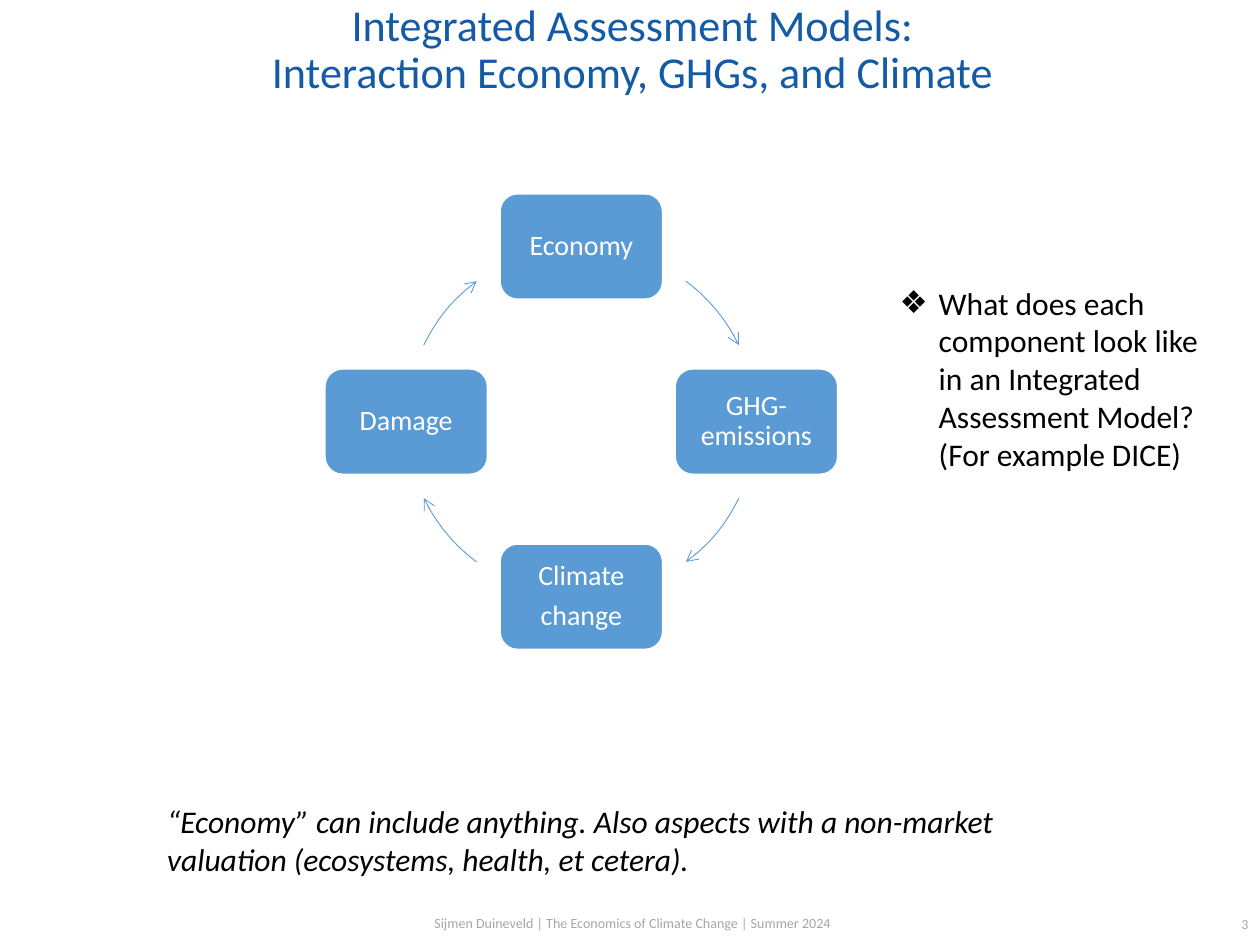
from dataclasses import dataclass
from math import cos, radians, sin

from lxml.etree import SubElement
from pptx import Presentation
from pptx.dml.color import RGBColor
from pptx.enum.shapes import MSO_SHAPE
from pptx.enum.text import MSO_ANCHOR, MSO_AUTO_SIZE, PP_ALIGN
from pptx.oxml.ns import qn
from pptx.util import Cm, Pt


@dataclass(frozen=True)
class Theme:
    font: str = "Calibri"
    title: RGBColor = RGBColor(0x13, 0x5B, 0xA6)
    box: RGBColor = RGBColor(0x5B, 0x9B, 0xD5)
    white: RGBColor = RGBColor(0xFF, 0xFF, 0xFF)
    text: RGBColor = RGBColor(0, 0, 0)
    footer: RGBColor = RGBColor(0xA6, 0xA6, 0xA6)
    title_size: float = 25.2
    body_size: float = 18
    box_size: float = 16
    footer_size: float = 8


THEME = Theme()
CENTRE_X, CENTRE_Y, RADIUS = 11.72, 8.5, 3.53
BOX_W, BOX_H = 3.28, 2.13
STAGES = [["Economy"], ["GHG-emissions"], ["Climate", "change"], ["Damage"]]
ARC_MIDDLES = [320.4, 39.6, 140.4, 219.6]
ARC_HALF_SWEEP = 13.7


def set_attrs(obj, values):
    for name, value in values.items():
        setattr(obj, name, value)


def place(shape, left, top, width, height):
    set_attrs(shape, dict(left=Cm(left), top=Cm(top), width=Cm(width), height=Cm(height)))


def write(tf, lines, size, color, align=PP_ALIGN.LEFT, italic=False, inset=None,
          anchor=MSO_ANCHOR.TOP, **spacing):
    set_attrs(tf, dict(word_wrap=True, auto_size=MSO_AUTO_SIZE.NONE, vertical_anchor=anchor))
    if inset is not None:
        sides = ("margin_left", "margin_top", "margin_right", "margin_bottom")
        set_attrs(tf, dict.fromkeys(sides, Cm(inset)))
    tf.text = "\n".join(lines)
    for p in tf.paragraphs:
        set_attrs(p, dict(alignment=align, space_before=Pt(0), **spacing))
        for r in p.runs:
            set_attrs(r.font, dict(name=THEME.font, size=Pt(size), italic=italic))
            r.font.color.rgb = color


def add_text(s, box, text, size, color, **style):
    tb = s.shapes.add_textbox(*map(Cm, box))
    write(tb.text_frame, [text], size, color, **style)


def add_title(s, text):
    sp = s.shapes.title
    place(sp, 1.37, 0.2, 22.76, 1.65)
    write(sp.text_frame, [text], THEME.title_size, THEME.title, align=PP_ALIGN.CENTER,
          anchor=MSO_ANCHOR.MIDDLE, line_spacing=0.9)


def add_question(s, text):
    sp = s.placeholders[1]
    place(sp, 17.88, 5.59, 7.04, 4.11)
    write(sp.text_frame, [text], THEME.body_size, THEME.text)
    pPr = sp.text_frame.paragraphs[0]._p.get_or_add_pPr()
    pPr.set("marL", str(Cm(0.79)))
    pPr.set("indent", str(Cm(-0.79)))
    SubElement(pPr, qn("a:buChar")).set("char", "❖")


def add_stage(s, lines, angle):
    x = CENTRE_X + RADIUS * cos(radians(angle)) - BOX_W / 2
    y = CENTRE_Y + RADIUS * sin(radians(angle)) - BOX_H / 2
    sp = s.shapes.add_shape(MSO_SHAPE.ROUNDED_RECTANGLE, Cm(x), Cm(y), Cm(BOX_W), Cm(BOX_H))
    sp.shadow.inherit = False
    sp.fill.solid()
    sp.fill.fore_color.rgb = THEME.box
    sp.line.color.rgb = THEME.white
    sp.line.width = Pt(1)
    write(sp.text_frame, lines, THEME.box_size, THEME.white, align=PP_ALIGN.CENTER, inset=0.28,
          anchor=MSO_ANCHOR.MIDDLE, line_spacing=0.9, space_after=Pt(5.6))


def add_arc(s, middle):
    sp = s.shapes.add_shape(MSO_SHAPE.ARC, Cm(CENTRE_X - RADIUS), Cm(CENTRE_Y - RADIUS),
                            Cm(2 * RADIUS), Cm(2 * RADIUS))
    sp.shadow.inherit = False
    sp.fill.background()
    for i, angle in enumerate((middle - ARC_HALF_SWEEP, middle + ARC_HALF_SWEEP)):
        sp.adjustments[i] = angle * 0.6
    sp.line.color.rgb = THEME.box
    sp.line.width = Pt(0.5)
    SubElement(sp.line._get_or_add_ln(), qn("a:tailEnd")).set("type", "arrow")


def main():
    prs = Presentation()
    set_attrs(prs, dict(slide_width=Cm(25.4), slide_height=Cm(19.05)))
    s = prs.slides.add_slide(prs.slide_layouts[1])
    footer = dict(size=THEME.footer_size, color=THEME.footer, inset=0, anchor=MSO_ANCHOR.BOTTOM)
    add_text(s, (23.93, 18.47, 1.24, 0.33), "3", align=PP_ALIGN.RIGHT, **footer)
    add_text(s, (6.22, 18.44, 13.08, 0.33),
             "Sijmen Duineveld | The Economics of Climate Change | Summer 2024",
             align=PP_ALIGN.CENTER, **footer)
    add_title(s, "Integrated Assessment Models:\vInteraction Economy, GHGs, and Climate")
    for i, (lines, middle) in enumerate(zip(STAGES, ARC_MIDDLES)):
        add_stage(s, lines, 90 * i - 90)
        add_arc(s, middle)
    add_text(s, (3.12, 16.05, 17.98, 1.8),
             "“Economy” can include anything. Also aspects with a non-market valuation "
             "(ecosystems, health, et cetera).", THEME.body_size, THEME.text, italic=True)
    add_question(s, "What does each component look like in an Integrated Assessment Model? "
                    "(For example DICE)")
    prs.save("out.pptx")


if __name__ == "__main__":
    main()
